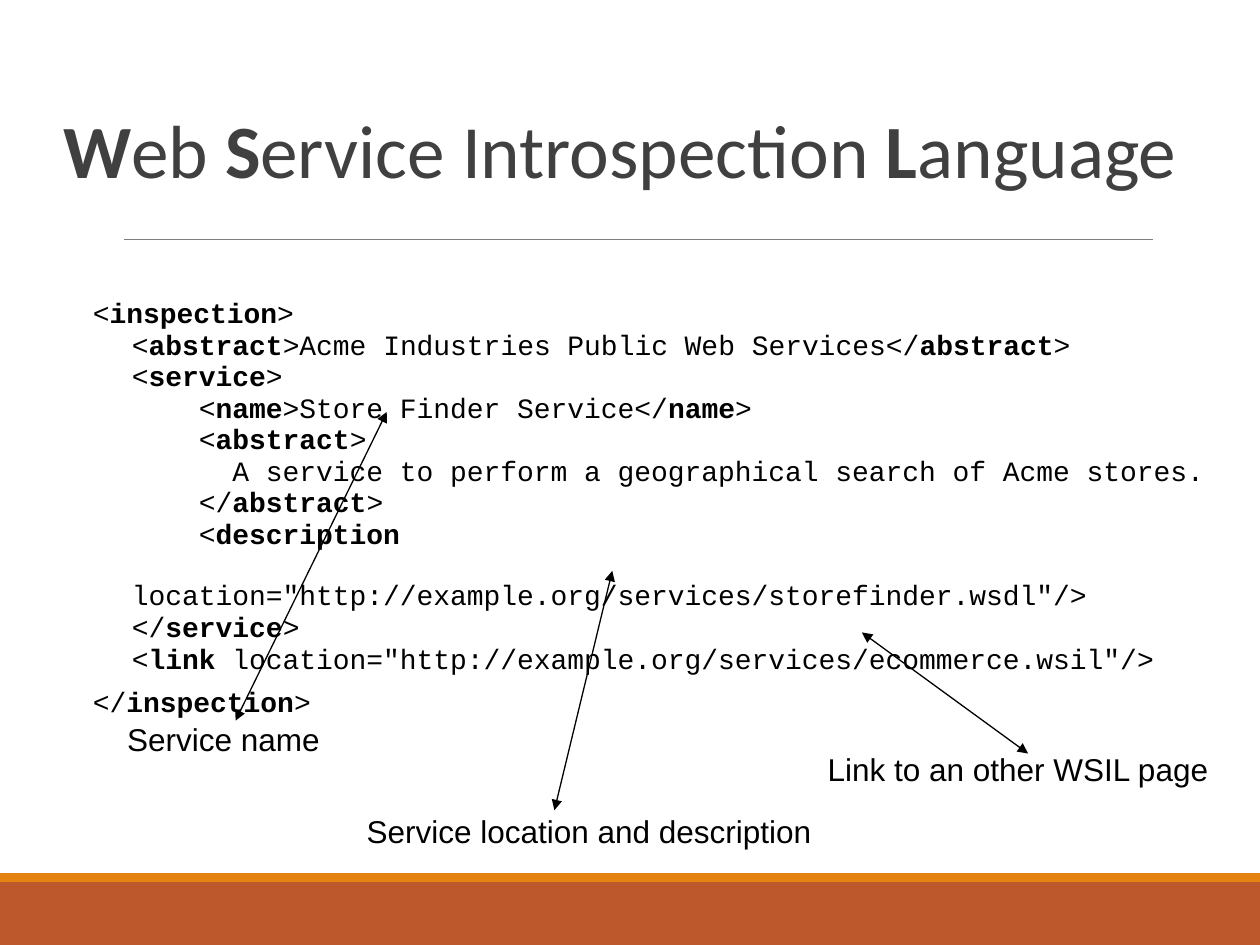
"""Builds the Web Service Introspection Language slide."""
from dataclasses import dataclass

from lxml import etree
from pptx import Presentation
from pptx.dml.color import RGBColor
from pptx.enum import shapes, text
from pptx.oxml import ns
from pptx.util import Pt


@dataclass(frozen=True)
class Theme:
    """Colours, fonts and type sizes of the slide."""
    band: str = "BD582C"
    accent: str = "E48312"
    rule: str = "7F7F7F"
    heading: str = "404040"
    ink: str = "000000"
    heading_font: str = "Calibri"
    code_font: str = "Courier New"
    label_font: str = "Arial"
    heading_size: float = 43
    code_size: float = 16
    label_size: float = 18


THEME = Theme()
CODE_PITCH = 17.1
CODE_LINES = [
    (0, 0, "<*inspection*>"),
    (1, 0, "<*abstract*>Acme Industries Public Web Services</*abstract*>"),
    (1, 0, "<*service*>"),
    (1, 0, "    <*name*>Store Finder Service</*name*>"),
    (1, 0, "    <*abstract*>"),
    (1, 0, "      A service to perform a geographical search of Acme stores."),
    (1, 0, "    </*abstract*>"),
    (1, 0, "    <*description*"),
    (1, CODE_PITCH, 'location="http://example.org/services/storefinder.wsdl"/>'),
    (1, 0, "</*service*>"),
    (1, 0, '<*link* location="http://example.org/services/ecommerce.wsil"/>'),
    (0, 6.8, "</*inspection*>"),
]
CALLOUTS = [
    ("Service name", (72.7, 413.3, 113.8, 20.2), (134.6, 411.8), (221, 235.4)),
    ("Service location and description", (209.5, 465.8, 294.5, 20.2),
     (316.8, 463), (349.9, 326.2)),
    ("Link to an other WSIL page", (473, 430.6, 234.7, 20.2),
     (587.5, 430.6), (492.5, 361.4)),
]


def add_frame(slide, box, inset=(0, 0), anchor=text.MSO_ANCHOR.TOP):
    """Add a wrapping text box and return its text frame."""
    frame = slide.shapes.add_textbox(*map(Pt, box)).text_frame
    frame.word_wrap = True
    frame.vertical_anchor = anchor
    frame.margin_left = frame.margin_right = Pt(inset[0])
    frame.margin_top = frame.margin_bottom = Pt(inset[1])
    return frame


def write(paragraph, marked, font, size, colour, spacing):
    """Write text into a paragraph, with the parts between stars in bold."""
    paragraph.line_spacing = spacing
    for index, part in enumerate(marked.split("*")):
        if part:
            run = paragraph.add_run()
            run.text = part
            run.font.name = font
            run.font.size = Pt(size)
            run.font.bold = index % 2 == 1
            run.font.color.rgb = RGBColor.from_string(colour)


def add_line(slide, start, end, colour, width, arrows=False):
    """Draw a straight line, with an arrowhead at both ends if asked."""
    line = slide.shapes.add_connector(
        shapes.MSO_CONNECTOR.STRAIGHT, *map(Pt, (*start, *end)))
    line.line.color.rgb = RGBColor.from_string(colour)
    line.line.width = Pt(width)
    if arrows:
        outline = line.line._get_or_add_ln()
        for tag in ("a:headEnd", "a:tailEnd"):
            etree.SubElement(outline, ns.qn(tag), type="triangle")
    etree.SubElement(line._element.spPr, ns.qn("a:effectLst"))


def add_band(slide, box, colour):
    """Draw one plain filled band."""
    band = slide.shapes.add_shape(shapes.MSO_SHAPE.RECTANGLE, *map(Pt, box))
    band.shadow.inherit = False
    band.fill.solid()
    band.fill.fore_color.rgb = RGBColor.from_string(colour)
    band.line.fill.background()


def add_footer(slide, box):
    """Draw the footer band with its thin accent strip on top."""
    left, top, width, height = box
    strip = 5
    add_band(slide, (left, top + strip, width, height - strip), THEME.band)
    add_band(slide, (left, top, width, strip), THEME.accent)


def add_heading(slide, box):
    """Write the slide title at the bottom of its box."""
    frame = add_frame(slide, box, anchor=text.MSO_ANCHOR.BOTTOM)
    write(frame.paragraphs[0], "*W*eb *S*ervice Introspection *L*anguage",
          THEME.heading_font, THEME.heading_size, THEME.heading, 0.95)


def add_code(slide, box):
    """Write the inspection document, one paragraph for each line."""
    frame = add_frame(slide, box, inset=(7.2, 3.6))
    for index, (level, gap, line) in enumerate(CODE_LINES):
        paragraph = frame.add_paragraph() if index else frame.paragraphs[0]
        properties = paragraph._p.get_or_add_pPr()
        properties.set("marL", str(Pt(36 + 22.3 * level)))
        properties.set("indent", "0")
        paragraph.space_before = Pt(gap)
        write(paragraph, line, THEME.code_font, THEME.code_size, THEME.ink, 0.945)


def add_callout(slide, box, label, start, end):
    """Write a label and draw its double arrow to the code."""
    write(add_frame(slide, box).paragraphs[0], label,
          THEME.label_font, THEME.label_size, THEME.ink, 0.93)
    add_line(slide, start, end, THEME.ink, 0.75, arrows=True)


def main():
    """Build the slide and save it."""
    deck = Presentation()
    deck.slide_width, deck.slide_height = Pt(720), Pt(540)
    slide = deck.slides.add_slide(deck.slide_layouts[6])
    add_footer(slide, (0, 499, 720, 41))
    add_line(slide, (70.6, 136.8), (658.8, 136.8), THEME.rule, 0.5)
    add_heading(slide, (36, 21.6, 673.2, 90))
    add_code(slide, (10, 167, 695.5, 219))
    for label, box, start, end in CALLOUTS:
        add_callout(slide, box, label, start, end)
    deck.save("out.pptx")


if __name__ == "__main__":
    main()
